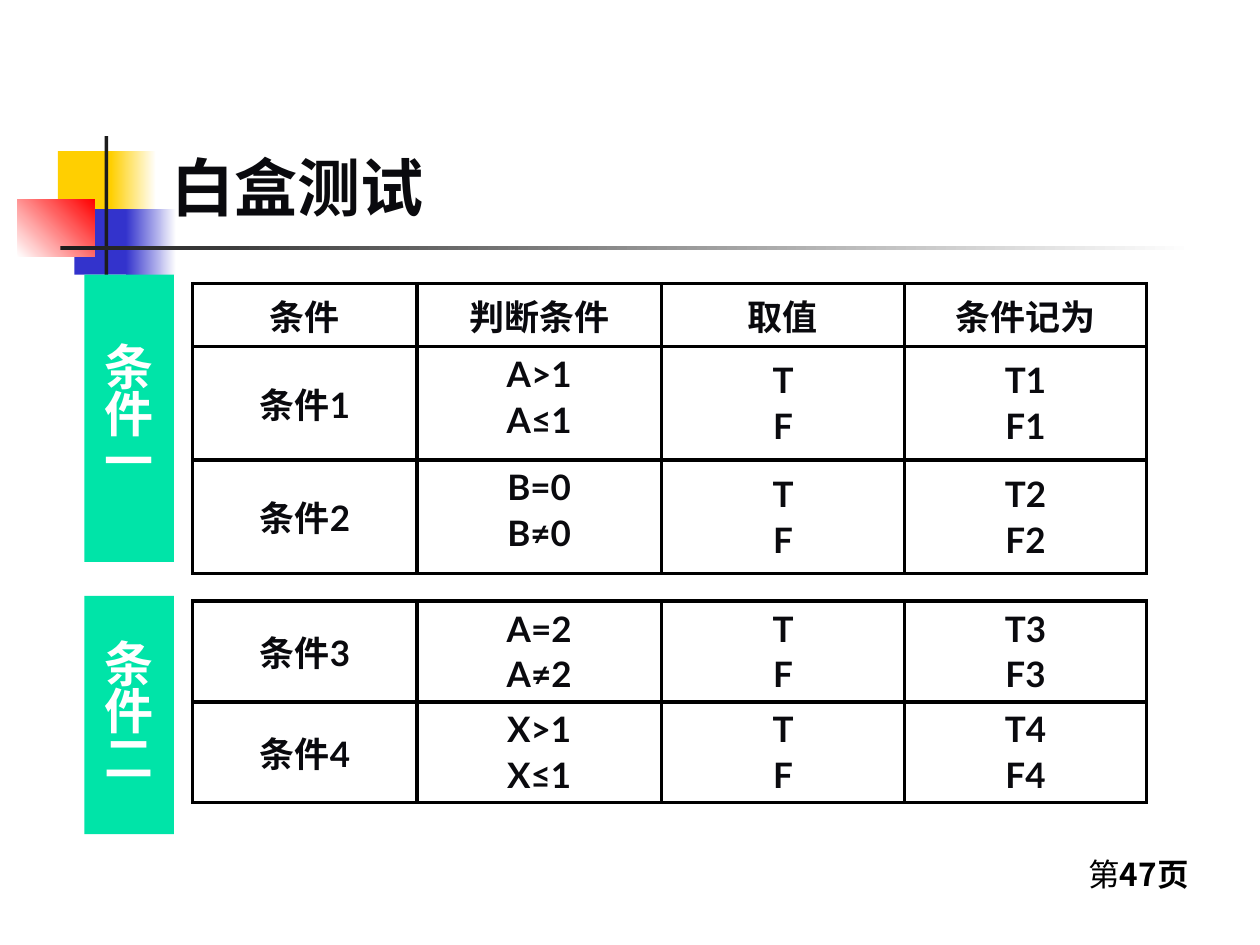
import dataclasses

import pptx
import pptx.dml.color
import pptx.enum.shapes
import pptx.enum.text
import pptx.oxml
import pptx.oxml.ns
import pptx.util

RGB = pptx.dml.color.RGBColor
ANCHOR = pptx.enum.text.MSO_ANCHOR
ALIGN = pptx.enum.text.PP_ALIGN

YELLOW = RGB(0xFF, 0xCF, 0x01)
BLUE = RGB(0x33, 0x33, 0xCC)
RED = RGB(0xFF, 0x00, 0x00)
CHARCOAL = RGB(0x1C, 0x1C, 0x1C)
MINT = RGB(0x00, 0xE4, 0xA8)
INK = RGB(0x0A, 0x0A, 0x0E)
BLACK = RGB(0x00, 0x00, 0x00)
WHITE = RGB(0xFF, 0xFF, 0xFF)

HAN, SERIF, SANS = "Noto Sans CJK SC", "Times New Roman", "Lato"

COLUMNS, ROWS = 100, 75  # square grid over the slide
UNIT = pptx.util.Inches(0.1)


def grid(count):
    return pptx.util.Emu(round(count * UNIT))


@dataclasses.dataclass
class Box:
    """Area of the slide in grid columns and rows."""
    left: float
    top: float
    width: float
    height: float

    def inner(self, left, top, width, height):
        return Box(self.left + left, self.top + top, width, height)

    def lengths(self):
        return [grid(n) for n in (self.left, self.top, self.width, self.height)]


def write(frame, paragraphs, size, font=SERIF, color=INK, bold=True,
          align=ALIGN.LEFT, before=0, line=None):
    """Fill a text frame; a paragraph is a string or a list of (text, bold)."""
    frame.word_wrap = True
    for index, content in enumerate(paragraphs):
        paragraph = frame.add_paragraph() if index else frame.paragraphs[0]
        paragraph.alignment = align
        if index and before:
            paragraph.space_before = pptx.util.Pt(before)
        if line:
            paragraph.line_spacing = line
        pieces = [(content, bold)] if isinstance(content, str) else content
        for text, heavy in pieces:
            run = paragraph.add_run()
            run.text = text
            run.font.size = pptx.util.Pt(size)
            run.font.bold = heavy
            run.font.name = font
            run.font.color.rgb = color
            east_asian = pptx.oxml.parse_xml(
                f'<a:ea {pptx.oxml.ns.nsdecls("a")} typeface="{HAN}"/>')
            run.font._element.find(pptx.oxml.ns.qn("a:latin")).addnext(east_asian)


def add_block(slide, box, color, fade_to=None, angle=0):
    block = slide.shapes.add_shape(
        pptx.enum.shapes.MSO_SHAPE.RECTANGLE, *box.lengths())
    block.shadow.inherit = False
    block.line.fill.background()
    if fade_to is None:
        block.fill.solid()
        block.fill.fore_color.rgb = color
    else:
        block.fill.gradient()
        block.fill.gradient_angle = angle
        for stop, shade in zip(block.fill.gradient_stops, (color, fade_to)):
            stop.color.rgb = shade
    return block


def add_ornament(slide, box):
    add_block(slide, box.inner(3.2, 1.2, 4.8, 5.2), YELLOW)
    add_block(slide, box.inner(7.4, 1.2, 3.6, 5.2), YELLOW, WHITE)
    add_block(slide, box.inner(4.5, 5.8, 4.6, 5.2), BLUE)
    add_block(slide, box.inner(8.6, 5.8, 4, 5.2), BLUE, WHITE)
    add_block(slide, box.inner(0, 5, 6.1, 4.6), WHITE, RED, angle=45)
    add_block(slide, box.inner(6.9, 0, 0.3, box.height), CHARCOAL)
    add_block(slide, box.inner(3.4, 8.7, 90, 0.35), CHARCOAL, WHITE)


def add_title(slide, box, text):
    frame = slide.shapes.add_textbox(*box.lengths()).text_frame
    frame.vertical_anchor = ANCHOR.BOTTOM
    write(frame, [text], size=36)


def add_page_number(slide, box, number):
    frame = slide.shapes.add_textbox(*box.lengths()).text_frame
    write(frame, [[("第", False), (f"{number}页", True)]], size=18, font=HAN,
          color=BLACK)


def add_side_label(slide, box, lines):
    frame = add_block(slide, box, MINT).text_frame
    frame.vertical_anchor = ANCHOR.MIDDLE
    write(frame, lines, size=28, color=WHITE, align=ALIGN.CENTER, line=0.8)


def outline(cell):
    properties = cell._tc.get_or_add_tcPr()
    for position, side in enumerate(("lnL", "lnR", "lnT", "lnB")):
        properties.insert(position, pptx.oxml.parse_xml(
            f'<a:{side} {pptx.oxml.ns.nsdecls("a")} w="{pptx.util.Pt(2.25)}">'
            f'<a:solidFill><a:srgbClr val="{BLACK}"/></a:solidFill></a:{side}>'))


def add_condition_table(slide, box, records, heights):
    """Each cell is a string whose lines become paragraphs."""
    widths = (17.8, 19.4, 19.3, 19.2)
    table = slide.shapes.add_table(
        len(records), len(widths), *box.lengths()).table
    table.first_row = table.horz_banding = False
    for column, width in zip(table.columns, widths):
        column.width = grid(width)
    for row, height, record in zip(table.rows, heights, records):
        row.height = grid(height)
        for index, (cell, text) in enumerate(zip(row.cells, record)):
            lines = text.split("\n")
            is_expression = index == 1 and len(lines) > 1
            cell.vertical_anchor = ANCHOR.TOP if is_expression else ANCHOR.MIDDLE
            cell.fill.background()
            outline(cell)
            write(cell.text_frame, lines, size=20, font=SANS,
                  align=ALIGN.CENTER, before=2)


def condition(number, when_true, when_false):
    return (f"条件{number}", f"{when_true}\n{when_false}", "T\nF",
            f"T{number}\nF{number}")


def main():
    deck = pptx.Presentation()
    deck.slide_width, deck.slide_height = grid(COLUMNS), grid(ROWS)
    slide = deck.slides.add_slide(deck.slide_layouts[6])

    add_ornament(slide, Box(1.4, 10.8, 93.4, 11.5))
    add_page_number(slide, Box(85.4, 67.4, 10.8, 4), 47)
    add_title(slide, Box(12.6, 2.3, 85.2, 16), "白盒测试")

    header = ("条件", "判断条件", "取值", "条件记为")
    first = [header, condition(1, "A>1", "A≤1"), condition(2, "B=0", "B≠0")]
    second = [condition(3, "A=2", "A≠2"), condition(4, "X>1", "X≤1")]
    add_condition_table(slide, Box(15.3, 22.5, 75.7, 23), first, (5, 9, 9))
    add_condition_table(slide, Box(15.3, 47.7, 75.7, 16), second, (8, 8))

    add_side_label(slide, Box(6.7, 21.8, 7.1, 22.8), ["条件", "一"])
    add_side_label(slide, Box(6.7, 47.3, 7.1, 18.9), ["条件", "二"])
    deck.save("out.pptx")


if __name__ == "__main__":
    main()
